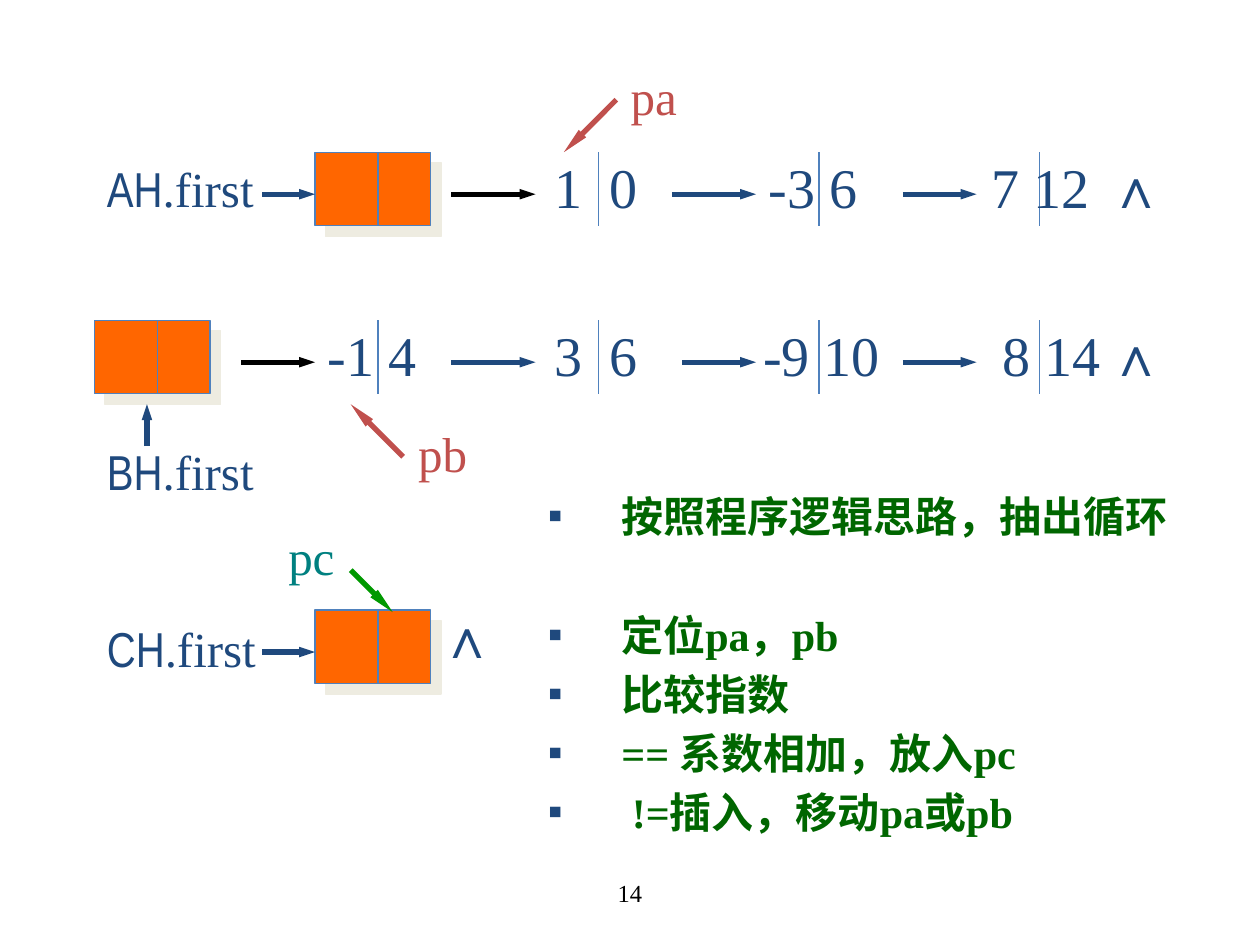
from lxml import etree
from pptx import Presentation
from pptx import util as u
from pptx.dml.color import RGBColor
from pptx.enum import shapes, text
from pptx.oxml import ns

NAVY = RGBColor(0x1F, 0x49, 0x7D)
BLUE = RGBColor(0x4F, 0x81, 0xBD)
ORANGE = RGBColor(0xFF, 0x66, 0x00)
RED = RGBColor(0xC0, 0x50, 0x4D)
GREEN = RGBColor(0x00, 0x99, 0x00)
DARK_GREEN = RGBColor(0x00, 0x66, 0x00)
TEAL = RGBColor(0x00, 0x80, 0x80)
BLACK = RGBColor(0, 0, 0)
SERIF, NARROW = "Times New Roman", "Arial Narrow"

# The grid has twelve cells to the inch; every length below is in cells.
CELLS_PER_INCH = 12
CELL_W, CELL_H = 11, 7             # a list node
DIVIDERS = [15, 36, 57, 78, 99]    # middle line of each node column
ROW_A, ROW_B, ROW_C = 14.5, 30.5, 58.1
ARROW_DROP = 4                     # from row top to its arrows


def grid(cells):
    return u.Inches(cells / CELLS_PER_INCH)


def add_xml(parent, tag, **attributes):
    return etree.SubElement(parent, ns.qn(tag), attributes)


def add_line(slide, start, end, color, width):
    line = slide.shapes.add_connector(
        shapes.MSO_CONNECTOR.STRAIGHT, *map(grid, (*start, *end)))
    line.line.color.rgb = color
    line.line.width = u.Pt(width)
    add_xml(line._element.spPr, "a:effectLst")
    return line


def add_arrow(slide, start, end, color=NAVY, head="med"):
    arrow = add_line(slide, start, end, color, 3)
    add_xml(arrow.line._get_or_add_ln(), "a:tailEnd",
            type="triangle", w="sm", len=head)


def add_divider(slide, x, top):
    add_line(slide, (x, top), (x, top + CELL_H), BLUE, 0.75)


def add_head_node(slide, divider, top):
    node = slide.shapes.add_shape(
        shapes.MSO_SHAPE.RECTANGLE,
        *map(grid, (divider - 6, top, CELL_W, CELL_H)))
    node.fill.solid()
    node.fill.fore_color.rgb = ORANGE
    node.line.color.rgb = BLUE
    node.line.width = u.Pt(0.75)
    node.shadow.inherit = False
    effects = node._element.spPr.find(ns.qn("a:effectLst"))
    shadow = add_xml(effects, "a:outerShdw", dist=str(u.Pt(8.5)),
                     dir="2700000", algn="ctr", rotWithShape="0")
    add_xml(shadow, "a:srgbClr", val="EEECE1")
    add_divider(slide, divider, top)


def add_run(paragraph, words, size, color, font=SERIF, bold=False):
    run = paragraph.add_run()
    run.text = words
    run.font.size = u.Pt(size)
    run.font.name = font
    run.font.bold = bold
    run.font.color.rgb = color


def add_box(slide, left, top, width, height, wrap=False):
    box = slide.shapes.add_textbox(*map(grid, (left, top, width, height)))
    box.text_frame.word_wrap = wrap
    return box.text_frame


def add_centered(slide, place, words, size, color):
    frame = add_box(slide, *place)
    frame.vertical_anchor = text.MSO_ANCHOR.MIDDLE
    frame.paragraphs[0].alignment = text.PP_ALIGN.CENTER
    add_run(frame.paragraphs[0], words, size, color)


def add_list_name(slide, letters, top):
    paragraph = add_box(slide, 9, top, 16.7, 6.8).paragraphs[0]
    add_run(paragraph, letters, 28, NAVY, NARROW)
    add_run(paragraph, ".first", 28, NAVY)


def add_term(slide, left, top, width, words):
    """Coefficient and exponent; a tab sets the exponent past the divider."""
    paragraph = add_box(slide, left, top - 0.6, width, 7.6).paragraphs[0]
    if "\t" in words:
        tabs = add_xml(paragraph._p.get_or_add_pPr(), "a:tabLst")
        add_xml(tabs, "a:tab", pos=str(grid(5.3)), algn="l")
    add_run(paragraph, words, 32, NAVY)


def add_steps(slide, steps):
    frame = add_box(slide, 51, 45.9, 67.6, 47, wrap=True)
    for index, (words, space_before) in enumerate(steps):
        paragraph = frame.paragraphs[0] if index == 0 else frame.add_paragraph()
        paragraph.line_spacing = 1.05
        paragraph.space_before = u.Pt(space_before)
        properties = paragraph._p.get_or_add_pPr()
        properties.set("marL", str(grid(7)))
        properties.set("indent", str(grid(-7)))
        color = add_xml(properties, "a:buClr")
        add_xml(color, "a:srgbClr", val=str(NAVY))
        add_xml(properties, "a:buFont", typeface=SERIF)
        add_xml(properties, "a:buChar", char="▪")
        add_run(paragraph, words, 24, DARK_GREEN, bold=True)


def main():
    deck = Presentation()
    deck.slide_width, deck.slide_height = u.Inches(10), u.Inches(7.5)
    slide = deck.slides.add_slide(deck.slide_layouts[6])

    # Head nodes and the dividers of the plain nodes
    for divider, top in ((DIVIDERS[1], ROW_A), (DIVIDERS[0], ROW_B),
                         (DIVIDERS[1], ROW_C)):
        add_head_node(slide, divider, top)
    for top, first in ((ROW_A, 2), (ROW_B, 1)):
        for divider in DIVIDERS[first:]:
            add_divider(slide, divider, top)

    # Names of the three lists
    for letters, top in (("AH", 14.5), ("BH", 41.5), ("CH", 58.3)):
        add_list_name(slide, letters, top)

    # Terms of both polynomials, and the end marks
    for left, top, width, words in (
            (51.6, ROW_A, 11, "1\t0"), (72, ROW_A, 11.5, "-3 6"),
            (93.3, ROW_A, 12, "7 12"), (104.4, ROW_A, 5.6, "∧"),
            (30, ROW_B, 11.5, "-1 4"), (51.6, ROW_B, 11, "3\t6"),
            (71.5, ROW_B, 14, "-9 10"), (94.3, ROW_B, 12, "8 14"),
            (104.4, ROW_B, 5.6, "∧"), (40.7, ROW_C - 0.7, 5.6, "∧")):
        add_term(slide, left, top, width, words)

    # Links between nodes
    for top, start, end, color in (
            (ROW_A, 25, 30, NAVY), (ROW_A, 43, 51, BLACK),
            (ROW_A, 64, 72, NAVY), (ROW_A, 86, 93, NAVY),
            (ROW_B, 23, 30, BLACK), (ROW_B, 43, 51, NAVY),
            (ROW_B, 65, 72, NAVY), (ROW_B, 86, 93, NAVY),
            (ROW_C, 25, 30, NAVY)):
        y = top + ARROW_DROP
        add_arrow(slide, (start, y), (end, y), color)
    add_arrow(slide, (14, 42.5), (14, 38.5))

    # Moving pointers
    for name, place, start, end, name_color, arrow_color in (
            ("pa", (58.6, 5.7, 7.3, 6.8), (58.7, 9.5), (53.7, 14.5), RED, RED),
            ("pb", (38.3, 39.7, 7.7, 6.8), (38.4, 43.5), (33.4, 38.5), RED, RED),
            ("pc", (26.1, 49.5, 7.1, 6.8), (33.4, 54.3), (37.4, 58.3),
             TEAL, GREEN)):
        add_arrow(slide, start, end, arrow_color, head="lg")
        add_centered(slide, place, name, 28, name_color)

    # Steps of the algorithm
    add_steps(slide, (("按照程序逻辑思路，抽出循环", 0), ("定位pa，pb", 37.5),
                      ("比较指数", 3.6), ("== 系数相加，放入pc", 3.6),
                      (" !=插入，移动pa或pb", 3.6)))

    # Page number
    add_centered(slide, (41, 82, 38, 6), "14", 14, BLACK)

    deck.save("out.pptx")


if __name__ == "__main__":
    main()
